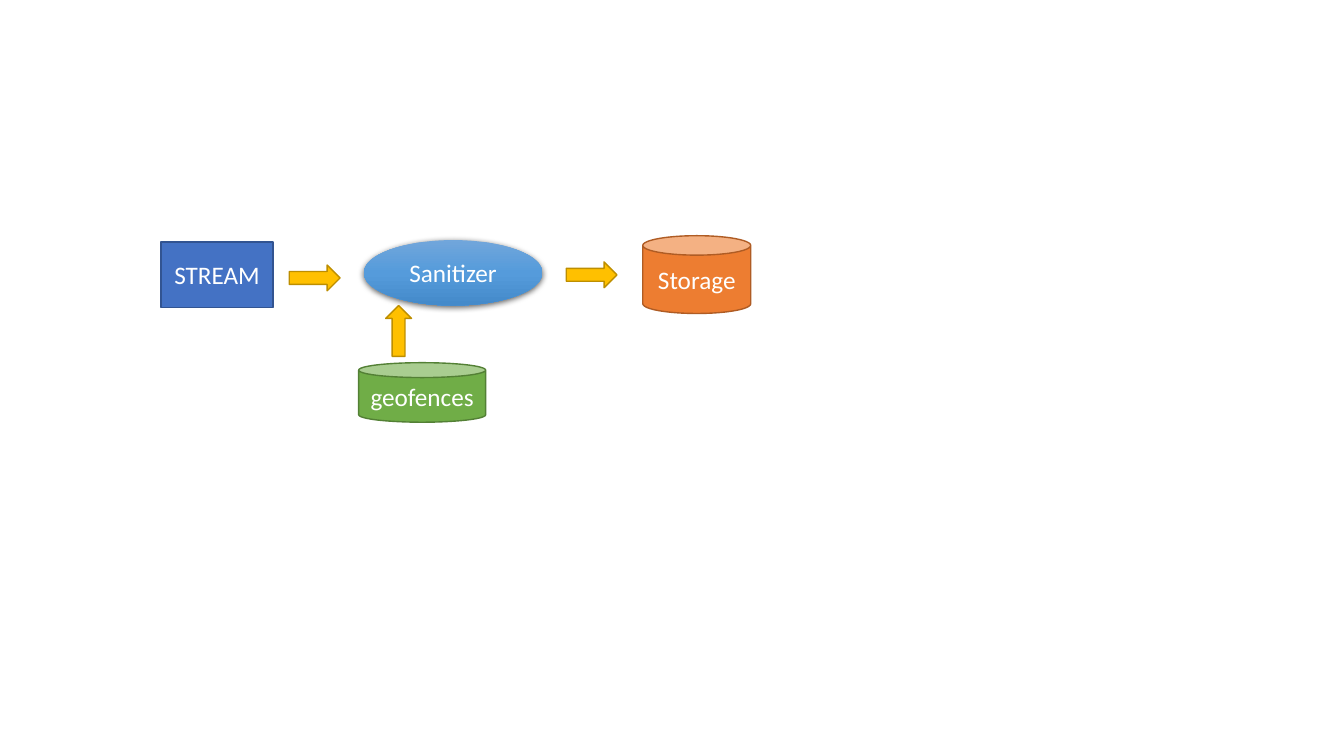
from lxml.etree import SubElement
from pptx import Presentation
from pptx.dml.color import RGBColor
from pptx.enum.shapes import MSO_SHAPE
from pptx.enum.text import MSO_ANCHOR, PP_ALIGN
from pptx.oxml.ns import qn
from pptx.util import Cm, Pt

COLOURS = {
    "white": "FFFFFF", "black": "000000",
    "blue": "4472C4", "blue line": "325491",
    "orange": "ED7D31", "orange line": "AF5C24",
    "green": "70AD47", "green line": "538035",
    "gold": "FFC000", "gold line": "BD8E00",
    "sky top": "71A6DB", "sky middle": "559BDB", "sky bottom": "448ACA",
}
SANITIZER_GRADIENT = [(0, "sky top"), (50, "sky middle"), (100, "sky bottom")]

# Text, preset, colour, (left, top, width, height) in centimetres
NODES = [
    ("STREAM", MSO_SHAPE.RECTANGLE, "blue", (4.06, 6.1, 2.82, 1.65)),
    ("Sanitizer", MSO_SHAPE.OVAL, None, (9.17, 6.05, 4.5, 1.65)),
    ("Storage", MSO_SHAPE.CAN, "orange", (16.2, 5.94, 2.72, 1.96)),
    ("geofences", MSO_SHAPE.CAN, "green", (9.04, 9.14, 3.2, 1.5)),
]
ARROW_LENGTH, ARROW_WIDTH = 1.28, 0.65
RIGHT_ARROWS = [(7.29, 6.68), (14.27, 6.6)]
UP_ARROW = (9.72, 7.7)


def colour(name):
    """Return the named colour as an RGB value."""
    return RGBColor.from_string(COLOURS[name])


def add_filled_shape(slide, preset, box, fill):
    """Add a shadowless shape; a named fill comes with its matching line."""
    shape = slide.shapes.add_shape(preset, *map(Cm, box))
    shape.shadow.inherit = False
    if fill:
        shape.fill.solid()
        shape.fill.fore_color.rgb = colour(fill)
        shape.line.color.rgb = colour(f"{fill} line")
        shape.line.width = Pt(1)
    else:
        shape.line.fill.background()
    return shape


def add_label(shape, text):
    """Write centred white text in a shape."""
    frame = shape.text_frame
    frame.word_wrap = True
    frame.vertical_anchor = MSO_ANCHOR.MIDDLE
    paragraph = frame.paragraphs[0]
    paragraph.alignment = PP_ALIGN.CENTER
    run = paragraph.add_run()
    run.text = text
    run.font.name = "Calibri"
    run.font.size = Pt(18)
    run.font.color.rgb = colour("white")


def add_gradient(shape, stops):
    """Fill a shape from top to bottom with the given percentage stops."""
    shape.fill.gradient()
    shape.fill.gradient_angle = 270
    stop_list = shape._element.spPr.find(".//" + qn("a:gsLst"))
    for old_stop in list(stop_list):
        stop_list.remove(old_stop)
    for percent, name in stops:
        stop = SubElement(stop_list, qn("a:gs"), pos=str(percent * 1000))
        SubElement(stop, qn("a:srgbClr"), val=COLOURS[name])


def add_shadow(shape):
    """Drop a soft black shadow straight below a shape."""
    effects = shape._element.spPr.find(qn("a:effectLst"))
    shadow = SubElement(effects, qn("a:outerShdw"), blurRad=str(Pt(4.5)),
                        dist=str(Pt(1.5)), dir="5400000", algn="ctr", rotWithShape="0")
    shade = SubElement(shadow, qn("a:srgbClr"), val=COLOURS["black"])
    SubElement(shade, qn("a:alpha"), val="63000")


presentation = Presentation()
presentation.slide_width, presentation.slide_height = Cm(33.87), Cm(19.05)
slide = presentation.slides.add_slide(presentation.slide_layouts[6])

for text, preset, fill, box in NODES:
    node = add_filled_shape(slide, preset, box, fill)
    add_label(node, text)
    if fill is None:
        add_gradient(node, SANITIZER_GRADIENT)
        add_shadow(node)

for corner in RIGHT_ARROWS:
    add_filled_shape(slide, MSO_SHAPE.RIGHT_ARROW, (*corner, ARROW_LENGTH, ARROW_WIDTH), "gold")
add_filled_shape(slide, MSO_SHAPE.UP_ARROW, (*UP_ARROW, ARROW_WIDTH, ARROW_LENGTH), "gold")

presentation.save("out.pptx")
